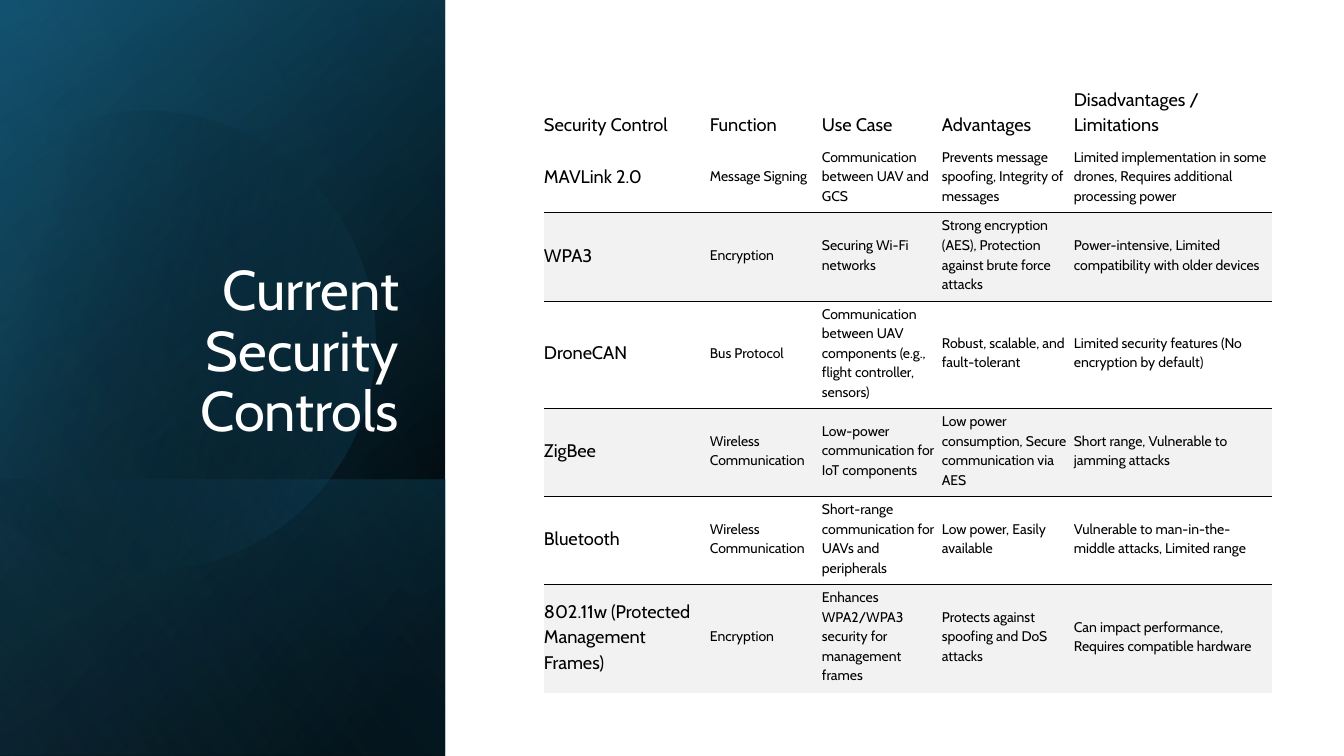
"""Build a slide with a gradient title panel and a table of security controls."""
import math

import pptx
import pptx.dml.color
import pptx.enum.shapes
import pptx.enum.text
import pptx.oxml
import pptx.oxml.ns
import pptx.util

COLORS = {"black": "000000", "white": "FFFFFF", "band": "F2F2F2",
          "teal": "156082", "deep": "104862", "sky": "46B1E1"}
ANCHOR = pptx.enum.text.MSO_ANCHOR
HEADER = ["Security Control", "Function", "Use Case", "Advantages", "Disadvantages / Limitations"]
CONTROLS = [
    ["MAVLink 2.0", "Message Signing", "Communication between UAV and GCS",
     "Prevents message spoofing, Integrity of messages",
     "Limited implementation in some drones, Requires additional processing power"],
    ["WPA3", "Encryption", "Securing Wi-Fi networks",
     "Strong encryption (AES), Protection against brute force attacks",
     "Power-intensive, Limited compatibility with older devices"],
    ["DroneCAN", "Bus Protocol",
     "Communication between UAV components (e.g., flight controller, sensors)",
     "Robust, scalable, and fault-tolerant",
     "Limited security features (No encryption by default)"],
    ["ZigBee", "Wireless Communication", "Low-power communication for IoT components",
     "Low power consumption, Secure communication via AES",
     "Short range, Vulnerable to jamming attacks"],
    ["Bluetooth", "Wireless Communication",
     "Short-range communication for UAVs and peripherals",
     "Low power, Easily available",
     "Vulnerable to man-in-the-middle attacks, Limited range"],
    ["802.11w (Protected Management Frames)", "Encryption",
     "Enhances WPA2/WPA3 security for management frames",
     "Protects against spoofing and DoS attacks",
     "Can impact performance, Requires compatible hardware"],
]
COL_WIDTHS = [166, 112, 120, 132, 198]
ROW_HEIGHTS = [61, 69, 87, 106, 87, 87, 106]
PLAIN_TABLE = "{2D5ABB26-0587-4C30-8999-92F81FD0307C}"


def px(n):
    return pptx.util.Emu(round(n * 914400 / 100.8))


def rgb(name):
    return pptx.dml.color.RGBColor.from_string(COLORS[name])


def apply(obj, formats):
    for name, value in formats.items():
        setattr(obj, name, value)


def xml(tag, attrs, body):
    ns = pptx.oxml.ns.nsdecls("a")
    return pptx.oxml.parse_xml(f"<a:{tag} {ns} {attrs}>{body}</a:{tag}>")


class SlideBuilder:
    def __init__(self, prs, font):
        self.slide = prs.slides.add_slide(prs.slide_layouts[5])
        self.shapes = self.slide.shapes
        self.font = font

    def gradient(self, sp, stops, angle):
        sp.shadow.inherit = False
        sp.fill.background()
        gs = "".join(
            f'<a:gs pos="{pos * 1000}"><a:srgbClr val="{COLORS[color]}">'
            f'<a:alpha val="{alpha * 1000}"/></a:srgbClr></a:gs>'
            for pos, color, alpha in stops)
        body = f'<a:gsLst>{gs}</a:gsLst><a:lin ang="{angle * 60000}" scaled="0"/>'
        spPr = sp.element.spPr
        spPr.replace(spPr.find(pptx.oxml.ns.qn("a:noFill")),
                     xml("gradFill", 'rotWithShape="1"', body))
        sp.line.fill.background()

    def panel(self, x, y, w, h, stops, angle):
        sp = self.shapes.add_shape(pptx.enum.shapes.MSO_SHAPE.RECTANGLE,
                                   px(x + (w - h) / 2), px(y + (h - w) / 2), px(h), px(w))
        sp.rotation = 90
        sp.element.spPr.xfrm.set("flipH", "1")
        self.gradient(sp, stops, angle)

    def cut_disc(self, cx, cy, radius, cut_x, pivot, turn, stops, angle):
        sweep = math.degrees(math.acos((cut_x - cx) / radius))
        steps = 72
        t = math.radians(turn)
        points = []
        for i in range(steps + 1):
            a = math.radians(sweep * (2 * i / steps - 1))
            dx = cx + radius * math.cos(a) - pivot[0]
            dy = cy + radius * math.sin(a) - pivot[1]
            points.append((px(pivot[0] + dx * math.cos(t) - dy * math.sin(t)),
                           px(pivot[1] + dx * math.sin(t) + dy * math.cos(t))))
        fb = self.shapes.build_freeform(*points[0])
        fb.add_line_segments(points[1:], close=True)
        sp = fb.convert_to_shape()
        sp.rotation = 360 - turn
        self.gradient(sp, stops, angle)

    def text(self, tf, text, size, color, paragraph):
        p = tf.paragraphs[0]
        apply(p, paragraph)
        r = p.add_run()
        r.text = text
        apply(r.font, {"name": self.font, "size": pptx.util.Pt(size)})
        r.font.color.rgb = rgb(color)

    def title(self, x, y, w, h, text):
        sp = self.shapes.title
        sp.element.getparent().append(sp.element)
        apply(sp, {"left": px(x), "top": px(y), "width": px(w), "height": px(h)})
        apply(sp.text_frame, {"word_wrap": True, "vertical_anchor": ANCHOR.BOTTOM,
                              "auto_size": pptx.enum.text.MSO_AUTO_SIZE.NONE})
        self.text(sp.text_frame, text, 40, "white",
                  {"alignment": pptx.enum.text.PP_ALIGN.RIGHT, "line_spacing": 0.9})

    def rule(self, cell, side):
        body = f'<a:solidFill><a:srgbClr val="{COLORS["black"]}"/></a:solidFill>'
        cell._tc.get_or_add_tcPr().insert(0, xml(side, 'w="9525"', body))

    def cell(self, cell, text, size, anchor, banded):
        apply(cell, {"margin_left": 0, "margin_top": px(2), "margin_right": px(1),
                     "margin_bottom": px(8), "vertical_anchor": anchor})
        if banded:
            cell.fill.solid()
            cell.fill.fore_color.rgb = rgb("band")
        else:
            cell.fill.background()
        self.text(cell.text_frame, text, size, "black",
                  {"line_spacing": 1.15, "space_after": pptx.util.Pt(8)})

    def table(self, x, y, rows, widths, heights):
        frame = self.shapes.add_table(len(rows), len(widths), px(x), px(y),
                                      px(sum(widths)), px(sum(heights)))
        tbl = frame.table
        apply(tbl, {"first_row": True, "horz_banding": False})
        frame.element.find(".//" + pptx.oxml.ns.qn("a:tableStyleId")).text = PLAIN_TABLE
        for col, width in zip(tbl.columns, widths):
            col.width = px(width)
        for i, (row, height) in enumerate(zip(rows, heights)):
            tbl.rows[i].height = px(height)
            banded = i > 0 and i % 2 == 0
            for j, text in enumerate(row):
                cell = tbl.cell(i, j)
                size = 13 if i == 0 or j == 0 else 10
                self.cell(cell, text, size, ANCHOR.MIDDLE if i else ANCHOR.BOTTOM, banded)
                if i:
                    self.rule(cell, "lnT" if banded else "lnB")


def main():
    prs = pptx.Presentation()
    apply(prs, {"slide_width": px(1344), "slide_height": px(756)})
    s = SlideBuilder(prs, "Cabin")
    s.panel(0, 0, 445, 756, [(8, "black", 100), (100, "deep", 100)], 50)
    s.panel(0, 0, 445, 756, [(0, "black", 0), (99, "teal", 46)], 30)
    s.panel(0, 480, 445, 276, [(2, "teal", 29), (100, "black", 30)], 130)
    s.cut_disc(145, 341, 230, -15, (160, 337), 16.1,
               [(29, "black", 0), (100, "teal", 43)], 30)
    s.panel(0, 0, 445, 756, [(0, "black", 0), (99, "sky", 11)], 120)
    s.title(65, 185, 344, 264, "Current Security Controls")
    s.table(544, 83, [HEADER] + CONTROLS, COL_WIDTHS, ROW_HEIGHTS)
    prs.save("out.pptx")


if __name__ == "__main__":
    main()
